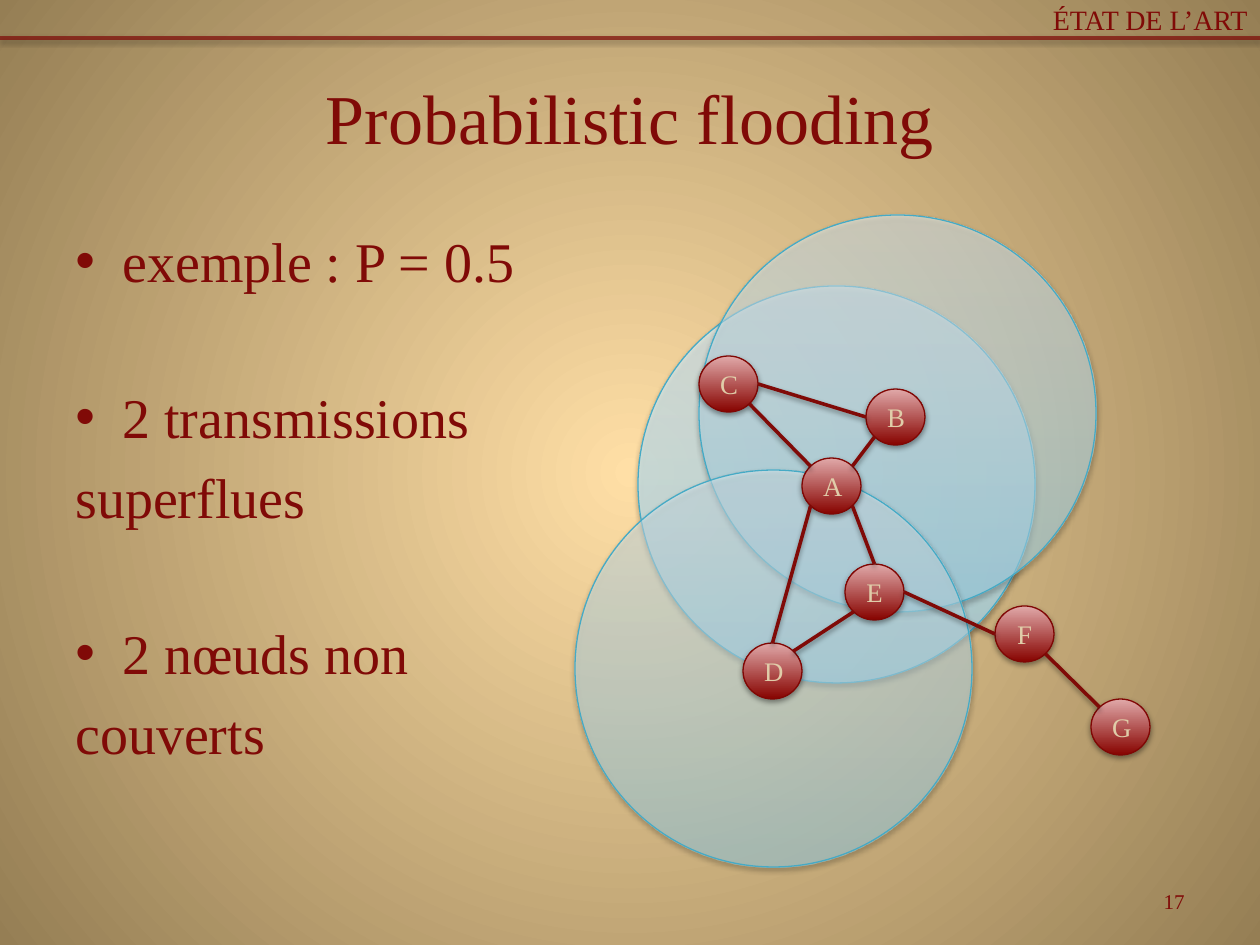
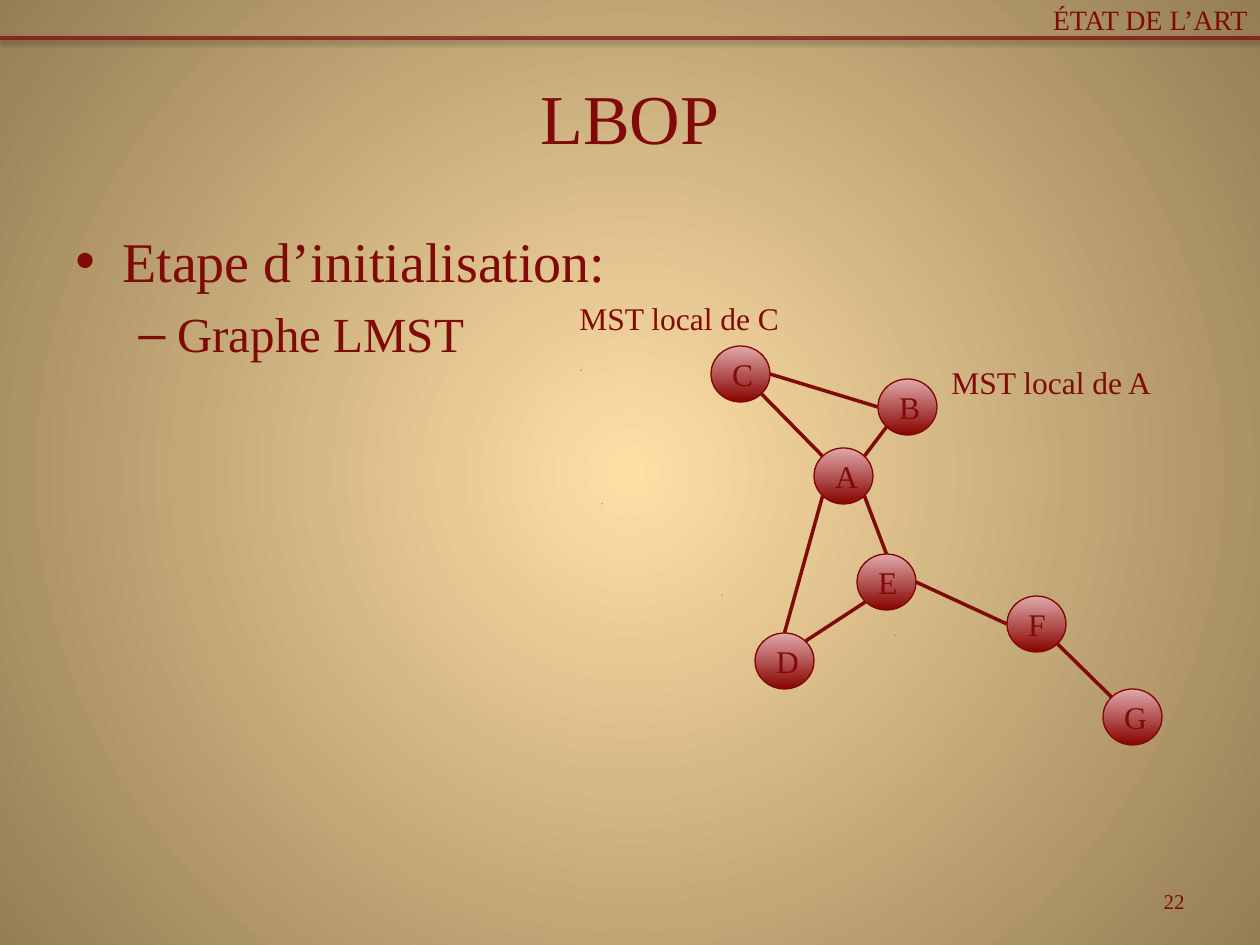
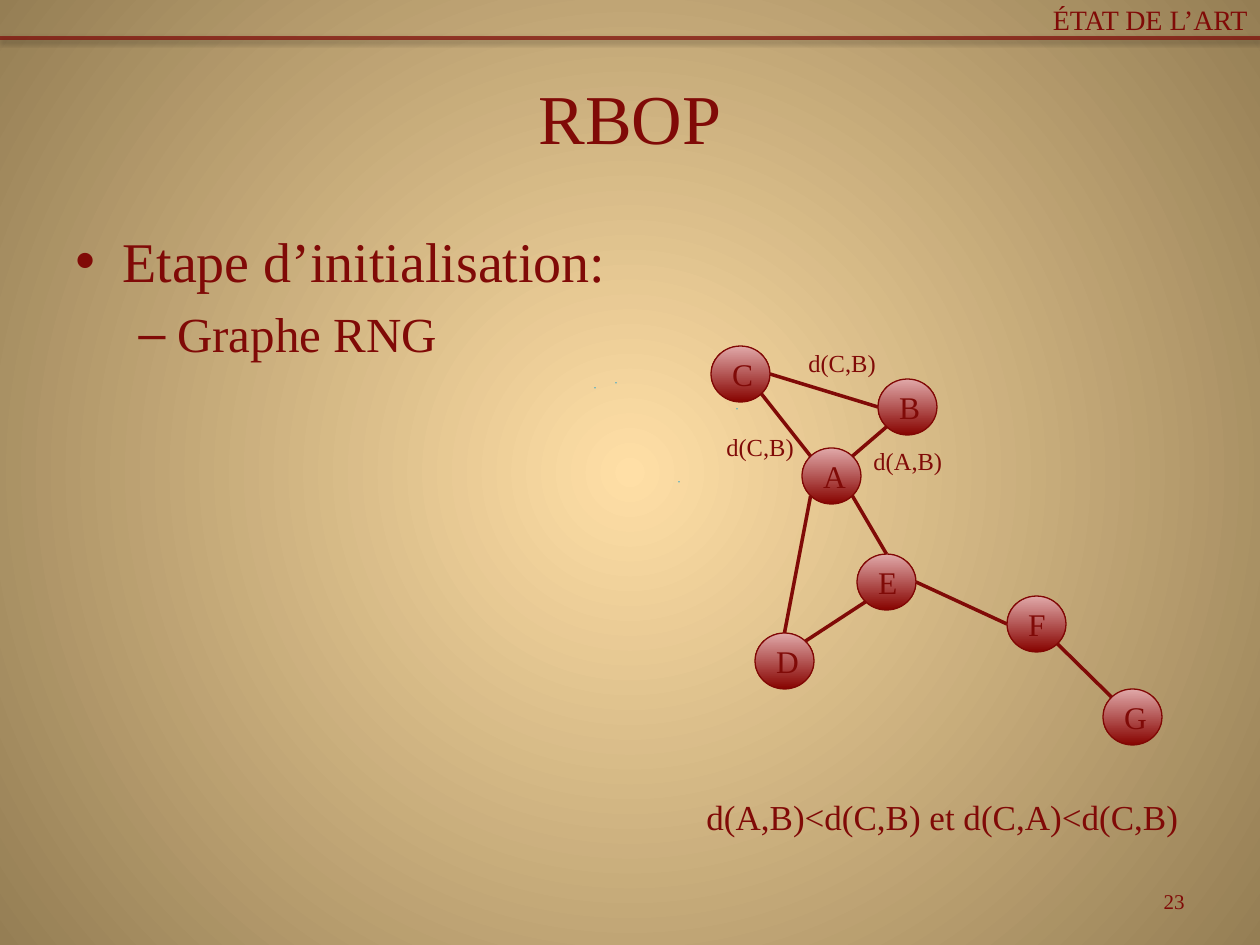
from dataclasses import dataclass
from math import sqrt

from lxml import etree
from pptx import Presentation
from pptx.dml.color import RGBColor
from pptx.enum.shapes import MSO_CONNECTOR, MSO_SHAPE
from pptx.enum.text import MSO_ANCHOR, PP_ALIGN
from pptx.oxml.ns import qn
from pptx.util import Pt

LEFT, CENTER, RIGHT = PP_ALIGN.LEFT, PP_ALIGN.CENTER, PP_ALIGN.RIGHT
TOP, MIDDLE = MSO_ANCHOR.TOP, MSO_ANCHOR.MIDDLE
OVAL, STRAIGHT = MSO_SHAPE.OVAL, MSO_CONNECTOR.STRAIGHT
PX = 914400 / 126


@dataclass(frozen=True)
class Theme:
    font: str = "Times New Roman"
    ink: str = "800A07"
    sand: str = "E0CDA9"
    node_edge: str = "800704"
    range_edge: str = "46AAC5"
    backdrop: tuple = ((0, "FFDFA6", 100), (100, "957E54", 100))
    node_fill: tuple = ((0, "870300", 100), (100, "E0A9A9", 100))
    range_fill: tuple = ((0, "A7E6FF"), (35, "C1EDFF"), (100, "E7F8FF"))
    title: float = 40
    header: float = 16
    number: float = 12
    label: float = 18
    distance: float = 14
    formula: float = 20
    thick: float = 2
    thin: float = 0.75


THEME = Theme()

# Body paragraph styles: bullet mark, left margin and first indent in px, points
BODY = {
    "bullet": dict(mark="•", left=47, indent=-47, size=32, before=7),
    "spaced": dict(mark="•", left=47, indent=-47, size=32, before=51),
    "plain": dict(mark=None, left=0, indent=0, size=32, before=7),
    "dash": dict(mark="–", left=102, indent=-39, size=28, before=6),
}

NODES = {"A": (802, 458), "B": (866, 389), "C": (699, 356), "D": (743, 643),
         "E": (845, 564), "F": (995, 606), "G": (1091, 699)}
NODE_WIDTH, NODE_HEIGHT = 59, 56
MOVED = {name: (x + 12, y - 10) for name, (x, y) in NODES.items()}

DIAGONAL = 1 / sqrt(2)
SITES = {"n": (0, -1), "e": (1, 0), "w": (-1, 0),
         "ne": (DIAGONAL, -DIAGONAL), "nw": (-DIAGONAL, -DIAGONAL),
         "se": (DIAGONAL, DIAGONAL), "sw": (-DIAGONAL, DIAGONAL)}
LINKS = [("C", "se", "A", "nw"), ("A", "ne", "B", "sw"), ("A", "se", "E", "n"),
         ("A", "sw", "D", "n"), ("D", "ne", "E", "sw"), ("E", "e", "F", "w"),
         ("B", "w", "C", "e"), ("F", "se", "G", "nw")]

# Ranges: left, top, width, height, opacity (None for a sparsely dotted outline)
PAGES = [
    dict(title="Probabilistic flooding", number="17",
         body=[("bullet", "exemple : P = 0.5"), ("spaced", "2 transmissions"),
               ("plain", "superflues"), ("spaced", "2 nœuds non"),
               ("plain", "couverts")],
         ranges=[(638, 286, 397, 397, 66), (699, 215, 397, 397, 51),
                 (575, 470, 397, 397, 48)],
         nodes=NODES, node_text=(15.3, THEME.sand), shadows=True, labels=[]),
    dict(title="LBOP", number="22",
         body=[("bullet", "Etape d’initialisation:"), ("dash", "Graphe LMST")],
         ranges=[(602, 321, 398, 367, None), (722, 444, 345, 304, None),
                 (895, 496, 302, 280, None), (581, 208, 357, 326, None)],
         nodes=MOVED, node_text=(THEME.label, THEME.ink), shadows=False,
         labels=[("MST local de C", (567, 293, 236, 50), THEME.label),
                 ("MST local de A", (939, 357, 236, 50), THEME.label)]),
    dict(title="RBOP", number="23",
         body=[("bullet", "Etape d’initialisation:"), ("dash", "Graphe RNG")],
         ranges=[(595, 243, 306, 291, None), (616, 263, 262, 241, None),
                 (679, 334, 329, 297, None), (737, 261, 329, 297, None)],
         nodes={**MOVED, "A": (802, 448)}, node_text=(THEME.label, THEME.ink),
         shadows=False,
         labels=[("d(A,B)", (861, 440, 98, 42), THEME.distance),
                 ("d(C,B)", (714, 426, 98, 42), THEME.distance),
                 ("d(C,B)", (796, 342, 98, 42), THEME.distance),
                 ("d(A,B)<d(C,B) et d(C,A)<d(C,B)", (694, 789, 537, 54),
                  THEME.formula)]),
]


def paint(fill, properties, stops, radial=False):
    """Fill with a gradient of (position, colour, opacity) stops, in percent."""
    fill.solid()
    gradient = etree.Element(qn("a:gradFill"), rotWithShape="1")
    stop_list = etree.SubElement(gradient, qn("a:gsLst"))
    for position, color, opacity in stops:
        stop = etree.SubElement(stop_list, qn("a:gs"), pos=str(position * 1000))
        tint = etree.SubElement(stop, qn("a:srgbClr"), val=color)
        etree.SubElement(tint, qn("a:alpha"), val=str(opacity * 1000))
    if radial:
        course = etree.SubElement(gradient, qn("a:path"), path="circle")
        etree.SubElement(course, qn("a:fillToRect"),
                         {side: "50000" for side in "ltrb"})
    else:
        etree.SubElement(gradient, qn("a:lin"), ang="16200000", scaled="0")
    properties.replace(properties.find(qn("a:solidFill")), gradient)


def write(para, text, size, color=THEME.ink, align=LEFT):
    para.alignment = align
    span = para.add_run()
    span.text = text
    formats = dict(name=THEME.font, size=Pt(size))
    for key, value in formats.items():
        setattr(span.font, key, value)
    span.font.color.rgb = RGBColor.from_string(color)


deck = Presentation()
deck.slide_width, deck.slide_height = round(1260 * PX), round(945 * PX)
master = deck.slide_master
backdrop_fill = master.background.fill
backdrop_fill.solid()
paint(backdrop_fill, master.element.find(".//" + qn("p:bgPr")), THEME.backdrop,
      radial=True)

for content in PAGES:
    page = deck.slides.add_slide(deck.slide_layouts[6])
    outlined = []  # shape, line colour, line width, has a shadow
    dotted = []

    band = page.shapes.add_connector(
        STRAIGHT, 0, round(38 * PX), deck.slide_width, round(38 * PX))
    outlined.append((band, THEME.ink, THEME.thick, True))

    captions = [
        (content["title"], (63, 38, 1134, 157), THEME.title, CENTER, MIDDLE, True),
        ("ÉTAT DE L’ART", (0, 0, 1260, 38), THEME.header, RIGHT, MIDDLE, True),
        (content["number"], (903, 876, 294, 50), THEME.number, RIGHT, MIDDLE, True),
    ]
    captions += [(text, area, size, LEFT, TOP, False)
                 for text, area, size in content["labels"]]

    body = page.shapes.add_textbox(
        *(round(n * PX) for n in (63, 220, 1134, 624))).text_frame
    body.word_wrap = True
    for index, (style, text) in enumerate(content["body"]):
        look = BODY[style]
        para = body.add_paragraph() if index else body.paragraphs[0]
        write(para, text, look["size"])
        para.space_before = Pt(look["before"] if index else 0)
        properties = para._p.get_or_add_pPr()
        properties.set("marL", str(round(look["left"] * PX)))
        properties.set("indent", str(round(look["indent"] * PX)))
        if look["mark"]:
            etree.SubElement(properties, qn("a:buFont"), typeface="Arial")
            etree.SubElement(properties, qn("a:buChar"), char=look["mark"])

    for *area, opacity in content["ranges"]:
        disc = page.shapes.add_shape(OVAL, *(round(n * PX) for n in area))
        if opacity:
            paint(disc.fill, disc.element.spPr,
                  [(*stop, opacity) for stop in THEME.range_fill])
        else:
            disc.fill.background()
            dotted.append(disc)
        outlined.append((disc, THEME.range_edge, THEME.thin, content["shadows"]))

    for name, (left, top) in content["nodes"].items():
        node = page.shapes.add_shape(
            OVAL, *(round(n * PX) for n in (left, top, NODE_WIDTH, NODE_HEIGHT)))
        paint(node.fill, node.element.spPr, THEME.node_fill)
        node.text_frame.vertical_anchor = MIDDLE
        write(node.text_frame.paragraphs[0], name, *content["node_text"], CENTER)
        outlined.append((node, THEME.node_edge, THEME.thin, content["shadows"]))

    for start, start_site, end, end_site in LINKS:
        ends = []
        for name, site in ((start, start_site), (end, end_site)):
            left, top = content["nodes"][name]
            across, down = SITES[site]
            ends += [round((left + NODE_WIDTH / 2 * (1 + across)) * PX),
                     round((top + NODE_HEIGHT / 2 * (1 + down)) * PX)]
        link = page.shapes.add_connector(STRAIGHT, *ends)
        outlined.append((link, THEME.ink, THEME.thick, content["shadows"]))

    for shape, color, width, shadowed in outlined:
        shape.line.color.rgb = RGBColor.from_string(color)
        shape.line.width = Pt(width)
        effects = etree.SubElement(shape.element.spPr, qn("a:effectLst"))
        if shadowed:
            shadow = etree.SubElement(
                effects, qn("a:outerShdw"), blurRad=str(Pt(3.1)),
                dist=str(Pt(1.6)), dir="5400000", rotWithShape="0")
            shade = etree.SubElement(shadow, qn("a:srgbClr"), val="000000")
            etree.SubElement(shade, qn("a:alpha"), val="38000")

    band_color = band.element.spPr.find(qn("a:ln")).find(".//" + qn("a:srgbClr"))
    etree.SubElement(band_color, qn("a:alpha"), val="70000")

    for disc in dotted:
        # One dot, then a gap longer than the whole outline
        dashes = etree.SubElement(disc.element.spPr.find(qn("a:ln")),
                                  qn("a:custDash"))
        etree.SubElement(dashes, qn("a:ds"), d="100000", sp="100000000")

    for text, area, size, align, anchor, wrap in captions:
        frame = page.shapes.add_textbox(*(round(n * PX) for n in area)).text_frame
        for key, value in dict(word_wrap=wrap, vertical_anchor=anchor).items():
            setattr(frame, key, value)
        write(frame.paragraphs[0], text, size, align=align)

deck.save("out.pptx")
